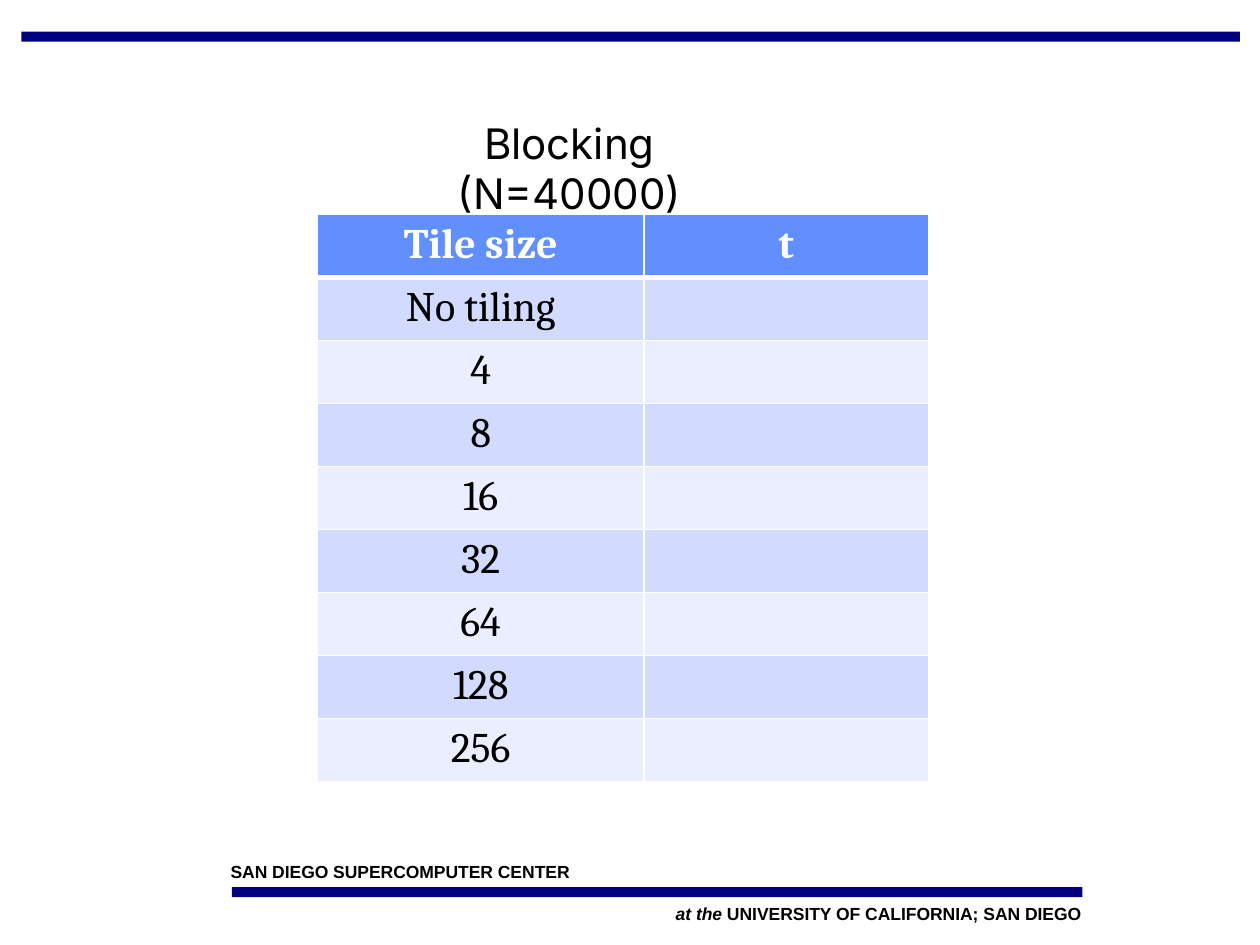
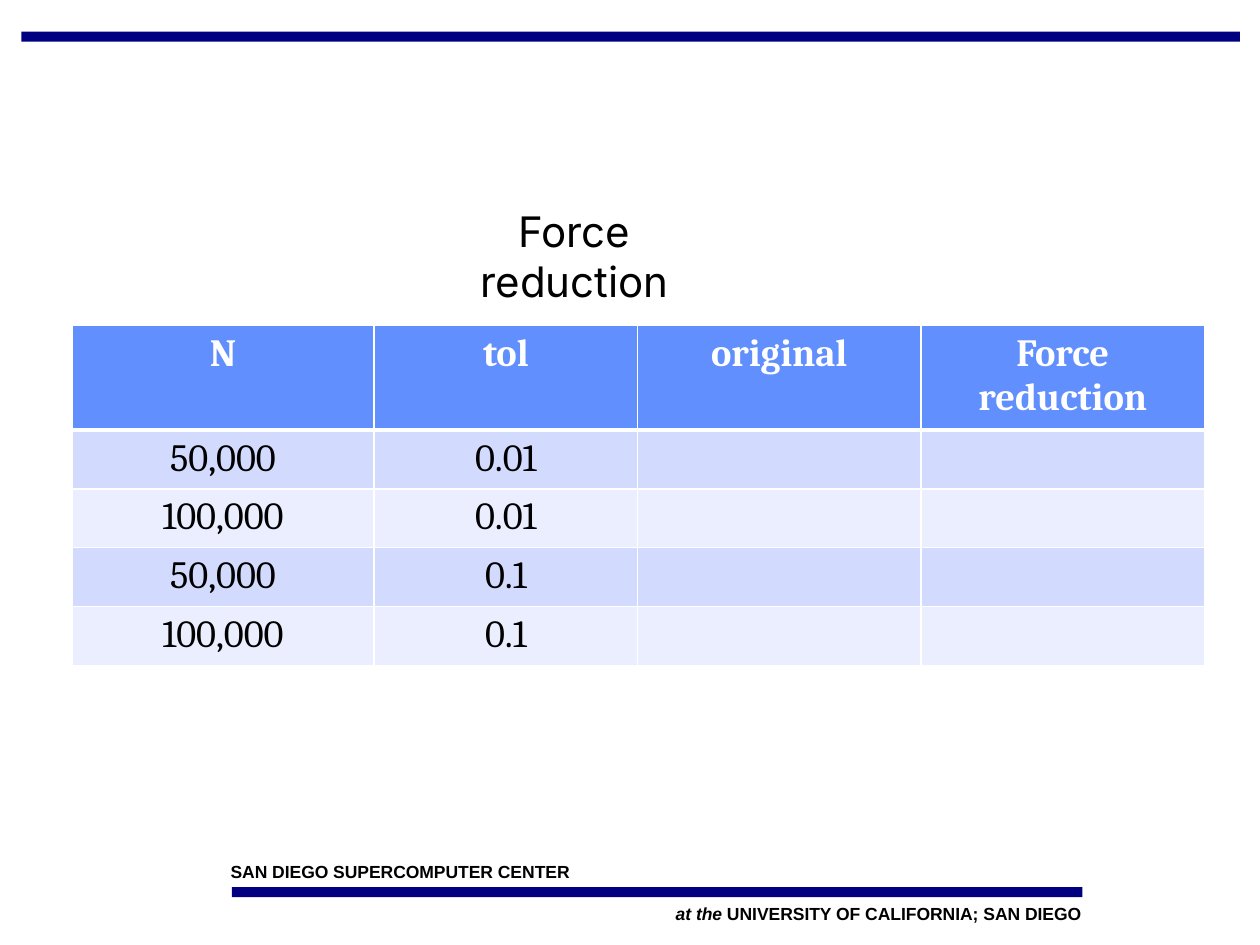
"""Build two result-table slides that share bands, footers and title style."""
from lxml import etree
from pptx import Presentation
from pptx import util as u
from pptx.dml.color import RGBColor
from pptx.enum import shapes, text
from pptx.oxml.ns import qn

COLORS = {"navy": "000080", "black": "000000", "white": "FFFFFF",
          "header": "618FFD", "odd": "D2DBFE", "even": "EAEEFF"}
LEFT, CENTER, RIGHT = text.PP_ALIGN.LEFT, text.PP_ALIGN.CENTER, text.PP_ALIGN.RIGHT

BANDS = [(0.17, 0.25, 9.67, 0.08), (1.84, 7.04, 6.75, 0.08)]
FOOTER = {"name": "Arial", "size": u.Pt(10), "bold": True}
FOOTERS = [
    ((1.83, 6.83, 6.25, 0.17), LEFT,
     [("SAN DIEGO SUPERCOMPUTER CENTER", False)]),
    ((2.33, 7.17, 6.25, 0.17), RIGHT,
     [("at the", True), (" UNIVERSITY OF CALIFORNIA; SAN DIEGO", False)]),
]
TITLE = {"name": "Inter", "size": u.Pt(24)}
TITLE_WIDTH, TITLE_HEIGHT = 2.2, 0.9

SLIDES = [
    {"title": "Blocking (N=40000)", "title_center": 4.52, "title_top": 0.88,
     "origin": (2.52, 1.7), "size": 24, "columns": [2.59, 2.26],
     "header_height": 0.5, "row_height": 0.5,
     "rows": [("Tile size", "t"), ("No tiling", "")]
     + [(str(2 ** power), "") for power in range(2, 9)]},
    {"title": "Force reduction", "title_center": 4.56, "title_top": 1.58,
     "origin": (0.57, 2.58), "size": 22, "columns": [2.4, 2.09, 2.25, 2.25],
     "header_height": 0.83, "row_height": 0.46,
     "rows": [("N", "tol", "original", "Force reduction"),
              ("50,000", "0.01", "", ""), ("100,000", "0.01", "", ""),
              ("50,000", "0.1", "", ""), ("100,000", "0.1", "", "")]},
]


def color(name):
    return RGBColor.from_string(COLORS[name])


def inches(values):
    return [u.Inches(value) for value in values]


def add_span(para, words, style, ink="black"):
    span = para.add_run()
    span.text = words
    for key, value in style.items():
        setattr(span.font, key, value)
    span.font.color.rgb = color(ink)


def add_text(page, place, align, spans, margin=None):
    frame = page.shapes.add_textbox(*inches(place)).text_frame
    frame.word_wrap = True
    if margin is not None:
        for side in ("left", "top", "right", "bottom"):
            setattr(frame, f"margin_{side}", margin)
    para = frame.paragraphs[0]
    para.alignment = align
    for words, style in spans:
        add_span(para, words, style)


def add_frame(page):
    for place in BANDS:
        band = page.shapes.add_shape(shapes.MSO_SHAPE.RECTANGLE, *inches(place))
        band.shadow.inherit = False
        band.fill.solid()
        band.fill.fore_color.rgb = color("navy")
        band.line.fill.background()
    for place, align, spans in FOOTERS:
        styled = [(words, {**FOOTER, "italic": italic}) for words, italic in spans]
        add_text(page, place, align, styled, margin=0)


def add_borders(cell, widths):
    properties = cell._tc.get_or_add_tcPr()
    for index, (side, points) in enumerate(widths.items()):
        line = etree.Element(qn(f"a:ln{side}"), w=str(u.Pt(points)))
        fill = etree.SubElement(line, qn("a:solidFill"))
        etree.SubElement(fill, qn("a:srgbClr"), val=COLORS["white"])
        properties.insert(index, line)


def add_results(page, content):
    rows, columns = content["rows"], content["columns"]
    heights = [content["header_height"]] + [content["row_height"]] * (len(rows) - 1)
    place = inches((*content["origin"], sum(columns), sum(heights)))
    table = page.shapes.add_table(len(rows), len(columns), *place).table
    for column, width in zip(table.columns, columns):
        column.width = u.Inches(width)
    for number, (row, height, values) in enumerate(zip(table.rows, heights, rows)):
        row.height = u.Inches(height)
        is_header = number == 0
        shade = "header" if is_header else ("even", "odd")[number % 2]
        style = {"name": "Cambria", "size": u.Pt(content["size"]), "bold": is_header}
        borders = {"L": 1, "R": 1, "T": 3 if number == 1 else 1, "B": 3 if is_header else 1}
        for cell, value in zip(row.cells, values):
            cell.fill.solid()
            cell.fill.fore_color.rgb = color(shade)
            add_borders(cell, borders)
            para = cell.text_frame.paragraphs[0]
            para.alignment = CENTER
            if value:
                add_span(para, value, style, "white" if is_header else "black")


def build():
    deck = Presentation()
    deck.slide_width, deck.slide_height = inches((10, 7.5))
    for content in SLIDES:
        page = deck.slides.add_slide(deck.slide_layouts[6])
        add_frame(page)
        add_results(page, content)
        left = content["title_center"] - TITLE_WIDTH / 2
        place = (left, content["title_top"], TITLE_WIDTH, TITLE_HEIGHT)
        add_text(page, place, CENTER, [(content["title"], TITLE)])
    deck.save("out.pptx")


build()
